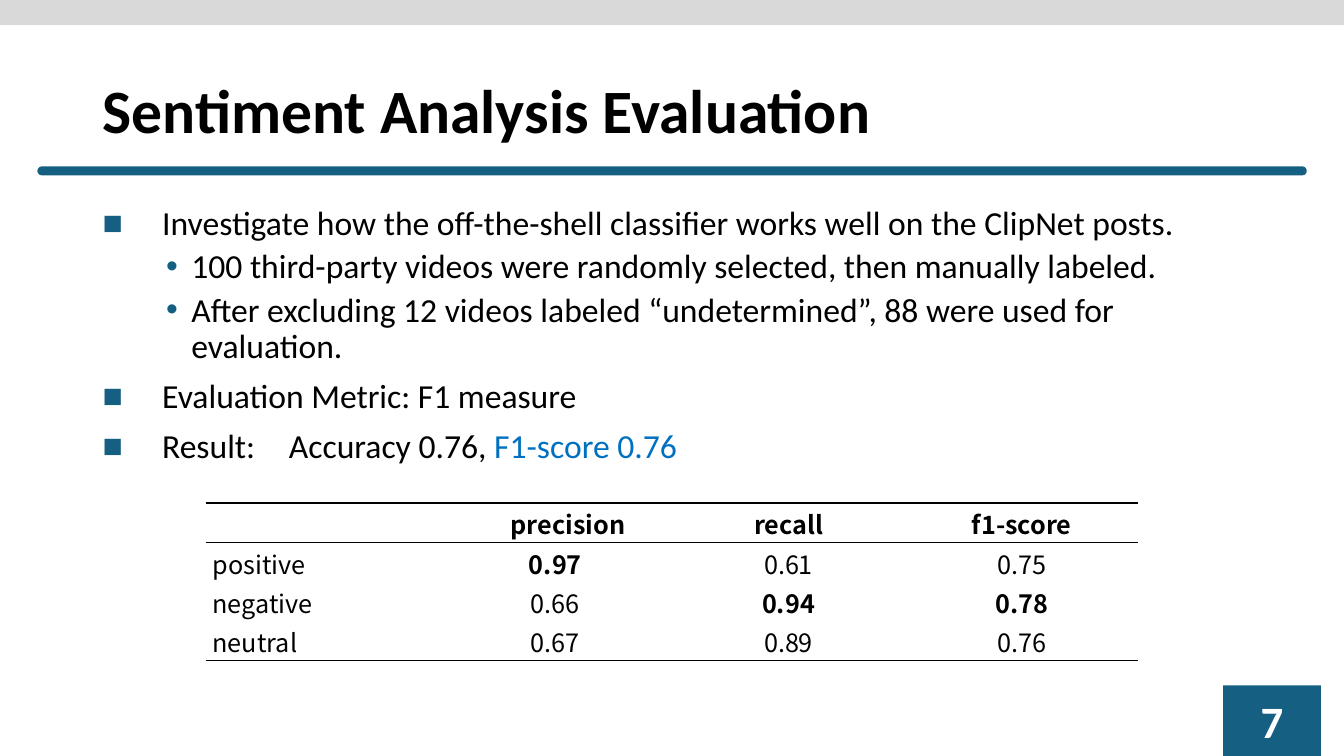
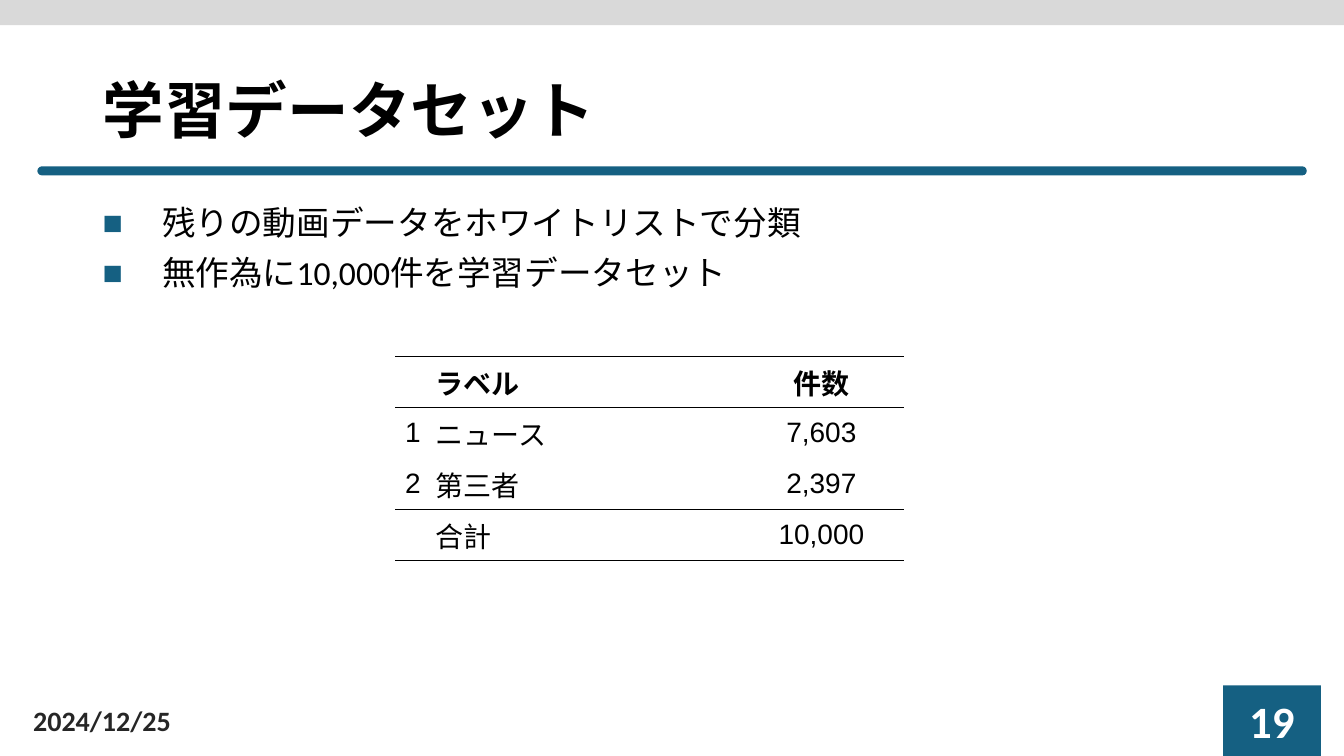
from dataclasses import dataclass

from lxml import etree
from pptx import Presentation
from pptx import util as u
from pptx.dml.color import RGBColor
from pptx.enum import shapes, text
from pptx.oxml import ns

WIDTH, HEIGHT = u.Inches(13.33), u.Inches(7.5)
TEAL, GREY, BLACK, WHITE = "156082", "D9D9D9", "000000", "FFFFFF"
DARK, BLUE = "262626", "0070C0"
LATIN, CJK, SANS = "Calibri", "Noto Sans CJK JP", "Arial"
LEFT, CENTER = text.PP_ALIGN.LEFT, text.PP_ALIGN.CENTER
LEVELS = [
    {"mark": "■", "left": 0.59, "hanging": 0.59, "before": 10},
    {"mark": "•", "left": 0.88, "hanging": 0.25, "before": 5},
]


@dataclass
class Box:
    """A region given in hundredths of the slide's width and height."""

    left: float
    top: float
    width: float
    height: float

    def lengths(self):
        """Return left, top, width and height as slide lengths."""
        return (int(WIDTH * self.left / 100), int(HEIGHT * self.top / 100),
                int(WIDTH * self.width / 100), int(HEIGHT * self.height / 100))


BAND = Box(0, 0, 100, 3.33)
TITLE = Box(6.9, 5.33, 86.25, 19.33)
RULE = Box(2.78, 22, 94.45, 1.2)
BODY = Box(6.9, 26.67, 86.25, 63.33)
DATE = Box(1.73, 92.67, 22.5, 5.33)
NUMBER = Box(91, 90.67, 7.28, 9.33)


def color(value):
    """Turn a hex string into a colour."""
    return RGBColor.from_string(value)


def set_all(target, values):
    """Set the attributes of an object from a dict."""
    for name, value in values.items():
        setattr(target, name, value)


def add_run(paragraph, words, size, fill=BLACK, bold=False, font=LATIN):
    """Append formatted words to a paragraph."""
    run = paragraph.add_run()
    run.text = words
    set_all(run.font, {"size": u.Pt(size), "bold": bold, "name": font})
    run.font.color.rgb = color(fill)
    etree.SubElement(run.font._element, ns.qn("a:ea"), typeface=CJK)


def add_block(slide, box, preset, fill):
    """Draw a plain filled shape."""
    shape = slide.shapes.add_shape(preset, *box.lengths())
    shape.shadow.inherit = False
    shape.fill.solid()
    shape.fill.fore_color.rgb = color(fill)
    shape.line.fill.background()
    return shape


def add_textbox(slide, box, anchor):
    """Add a wrapping text box and return its frame."""
    frame = slide.shapes.add_textbox(*box.lengths()).text_frame
    set_all(frame, {"word_wrap": True, "vertical_anchor": anchor})
    return frame


def add_frame(slide, title, number, date=None):
    """Place the band, title, rule, date and slide number."""
    rectangle = shapes.MSO_SHAPE.RECTANGLE
    middle = text.MSO_ANCHOR.MIDDLE
    add_block(slide, BAND, rectangle, GREY)
    heading = add_textbox(slide, TITLE, middle).paragraphs[0]
    heading.line_spacing = 0.9
    add_run(heading, title, 44, bold=True)
    rule = add_block(slide, RULE, shapes.MSO_SHAPE.ROUNDED_RECTANGLE, TEAL)
    rule.adjustments[0] = 0.5
    if date:
        footer = add_textbox(slide, DATE, middle).paragraphs[0]
        add_run(footer, date, 20, DARK, True)
    badge = add_block(slide, NUMBER, rectangle, TEAL).text_frame
    badge.vertical_anchor = middle
    badge.paragraphs[0].alignment = CENTER
    add_run(badge.paragraphs[0], number, 32, WHITE, True)


def add_bullets(slide, box, items):
    """Write bulleted items, each a level followed by (words, colour) runs."""
    frame = add_textbox(slide, box, text.MSO_ANCHOR.TOP)
    for index, (level, *runs) in enumerate(items):
        paragraph = frame.add_paragraph() if index else frame.paragraphs[0]
        style = LEVELS[level]
        properties = paragraph._p.get_or_add_pPr()
        properties.set("marL", str(u.Inches(style["left"])))
        properties.set("indent", str(-u.Inches(style["hanging"])))
        tint = etree.SubElement(properties, ns.qn("a:buClr"))
        etree.SubElement(tint, ns.qn("a:srgbClr"), val=TEAL)
        etree.SubElement(properties, ns.qn("a:buFont"), typeface=SANS)
        etree.SubElement(properties, ns.qn("a:buChar"), char=style["mark"])
        set_all(paragraph, {
            "level": level, "line_spacing": 0.9,
            "space_before": u.Pt(style["before"] if index else 0)})
        for words, fill in runs:
            add_run(paragraph, words, 24, fill)


def set_borders(cell, above, below):
    """Rule a cell's top or bottom and clear its other sides."""
    properties = cell._tc.get_or_add_tcPr()
    sides = {"lnL": False, "lnR": False, "lnT": above, "lnB": below}
    for side, ruled in sides.items():
        line = etree.SubElement(properties, ns.qn(f"a:{side}"), w=str(u.Pt(1)))
        if ruled:
            fill = etree.SubElement(line, ns.qn("a:solidFill"))
            etree.SubElement(fill, ns.qn("a:srgbClr"), val=BLACK)
        else:
            etree.SubElement(line, ns.qn("a:noFill"))


def add_ruled_table(slide, box, rows, weights, rules, aligns, bold, look, margin, spacing):
    """Add a table with horizontal rules above the listed row numbers."""
    left, top, width, height = box.lengths()
    table = slide.shapes.add_table(
        len(rows), len(weights), left, top, width, height).table
    set_all(table, {"first_row": False, "horz_banding": False})
    for column, weight in zip(table.columns, weights):
        column.width = int(width * weight / sum(weights))
    for r, row in enumerate(rows):
        for c, words in enumerate(row):
            cell = table.cell(r, c)
            set_all(cell, {
                "margin_left": u.Inches(margin), "margin_right": u.Inches(margin),
                "margin_top": 0, "margin_bottom": 0,
                "vertical_anchor": text.MSO_ANCHOR.MIDDLE})
            set_borders(cell, r in rules, r + 1 in rules)
            cell.fill.background()
            paragraph = cell.text_frame.paragraphs[0]
            set_all(paragraph, {"alignment": aligns[c], "line_spacing": spacing})
            if words:
                add_run(paragraph, words, bold=r == 0 or (r, c) in bold, **look)
    return table


def evaluation_slide(slide):
    """Build the sentiment evaluation slide."""
    add_frame(slide, "Sentiment Analysis Evaluation", "7")
    add_bullets(slide, BODY, [
        (0, ("Investigate how the off-the-shell classifier works well on the "
             "ClipNet posts.", BLACK)),
        (1, ("100 third-party videos were randomly selected, then manually "
             "labeled.", BLACK)),
        (1, ("After excluding 12 videos labeled “undetermined”, 88 were used "
             "for evaluation.", BLACK)),
        (0, ("Evaluation Metric: F1 measure", BLACK)),
        (0, ("Result:　Accuracy 0.76, ", BLACK), ("F1-score 0.76", BLUE)),
    ])
    rows = [
        ("", "precision", "recall", "f1-score"),
        ("positive", "0.97", "0.61", "0.75"),
        ("negative", "0.66", "0.94", "0.78"),
        ("neutral", "0.67", "0.89", "0.76"),
    ]
    table = add_ruled_table(
        slide, Box(15.3, 66.53, 69.4, 20.8), rows, [1] * 4, {0, 1, 4},
        [LEFT] + [CENTER] * 3, {(1, 1), (2, 2), (2, 3)},
        {"size": 18, "font": CJK}, 0.07, 1.07)
    precision = table.cell(0, 1).text_frame.paragraphs[0]
    precision._p.get_or_add_pPr().set("marL", str(u.Inches(0.25)))


def dataset_slide(slide):
    """Build the training data slide."""
    add_frame(slide, "学習データセット", "19", "2024/12/25")
    add_bullets(slide, BODY, [
        (0, ("残りの動画データをホワイトリストで分類", BLACK)),
        (0, ("無作為に10,000件を学習データセット", BLACK)),
    ])
    rows = [
        ("", "ラベル", "件数"),
        ("1", "ニュース", "7,603"),
        ("2", "第三者", "2,397"),
        ("", "合計", "10,000"),
    ]
    add_ruled_table(
        slide, Box(29.4, 47.2, 37.9, 26.93), rows, [30, 311, 165],
        {0, 1, 3, 4}, [LEFT, LEFT, CENTER], set(),
        {"size": 20, "font": SANS}, 0.1, 1.0)


def main():
    """Build and save the presentation."""
    presentation = Presentation()
    set_all(presentation, {"slide_width": WIDTH, "slide_height": HEIGHT})
    for build in (evaluation_slide, dataset_slide):
        build(presentation.slides.add_slide(presentation.slide_layouts[6]))
    presentation.save("out.pptx")


if __name__ == "__main__":
    main()
